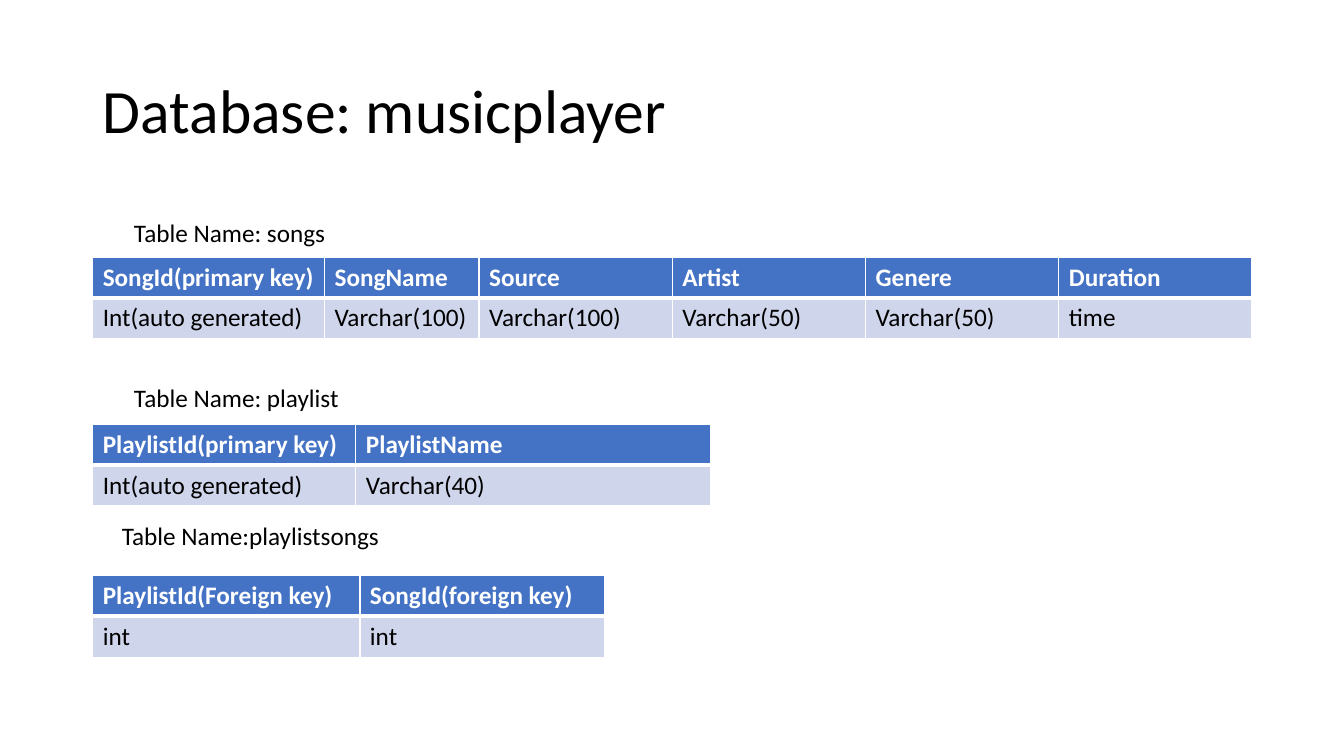
from lxml import etree
from pptx import Presentation
from pptx.dml.color import RGBColor
from pptx.enum.text import MSO_ANCHOR, MSO_AUTO_SIZE, PP_ALIGN
from pptx.oxml.ns import qn
from pptx.util import Inches, Pt

LEFT, MIDDLE = PP_ALIGN.LEFT, MSO_ANCHOR.MIDDLE
GROW = MSO_AUTO_SIZE.SHAPE_TO_FIT_TEXT
WIDE, HIGH = Inches(13.33), Inches(7.5)

# Lengths are percentages of the slide's width or height
EDGE, SPAN, ROW = 6.9, 86.25, 5.4
WHITE, BLACK, BLUE, PALE = "FFFFFF", "000000", "4472C4", "CFD5EA"

HEAD = {"size": Pt(18), "bold": True}
BODY = {"size": Pt(18), "bold": False}
TITLE = {"size": Pt(44), "bold": False}

# Label, label left and top, table top, columns of (width, field, type)
TABLES = [
    ("Table Name: songs", 9.23, 28.13, 34, [
        (17.25, "SongId(primary key)", "Int(auto generated)"),
        (11.5, "SongName", "Varchar(100)"),
        (14.38, "Source", "Varchar(100)"),
        (14.38, "Artist", "Varchar(50)"),
        (14.38, "Genere", "Varchar(50)"),
        (14.38, "Duration", "time"),
    ]),
    ("Table Name: playlist", 9.23, 49.87, 56.13, [
        (19.58, "PlaylistId(primary key)", "Int(auto generated)"),
        (26.4, "PlaylistName", "Varchar(40)"),
    ]),
    ("Table Name:playlistsongs", 8.33, 68.13, 76.13, [
        (19.88, "PlaylistId(Foreign key)", "int"),
        (18.23, "SongId(foreign key)", "int"),
    ]),
]


def across(share):
    return round(WIDE * share / 100)


def down(share):
    return round(HIGH * share / 100)


def color(target, code):
    target.rgb = RGBColor.from_string(code)


def write(frame, text, style, ink):
    line = frame.paragraphs[0]
    line.alignment = LEFT
    run = line.add_run()
    run.text = text
    for key, value in {"name": "Calibri", **style}.items():
        setattr(run.font, key, value)
    color(run.font.color, ink)
    return line


def border(cell, widths):
    props = cell._tc.get_or_add_tcPr()
    for side, width in widths.items():
        line = etree.SubElement(props, qn(f"a:ln{side}"), w=str(Pt(width)))
        fill = etree.SubElement(line, qn("a:solidFill"))
        etree.SubElement(fill, qn("a:srgbClr"), val=WHITE)


def add_title(slide, text):
    title = slide.shapes.title
    place = {"left": across(EDGE), "top": down(5.33),
             "width": across(SPAN), "height": down(19.33)}
    for key, value in place.items():
        setattr(title, key, value)
    title.text_frame.vertical_anchor = MIDDLE
    write(title.text_frame, text, TITLE, BLACK).line_spacing = 0.9


def add_label(slide, text, left, top):
    box = slide.shapes.add_textbox(
        across(left), down(top), across(39.68), down(ROW))
    box.text_frame.word_wrap = True
    box.text_frame.auto_size = GROW
    write(box.text_frame, text, BODY, BLACK)


def add_grid(slide, top, fields):
    widths, names, types = zip(*fields)
    table = slide.shapes.add_table(
        2, len(fields), across(EDGE), down(top),
        across(sum(widths)), down(2 * ROW)).table
    for column, width in zip(table.columns, widths):
        column.width = across(width)

    # A thick rule parts the header from the types
    rows = [(names, HEAD, WHITE, BLUE, {"L": 1, "R": 1, "T": 1, "B": 3}),
            (types, BODY, BLACK, PALE, {"L": 1, "R": 1, "T": 3, "B": 1})]
    for row, (texts, style, ink, fill, lines) in zip(table.rows, rows):
        row.height = down(ROW)
        for cell, text in zip(row.cells, texts):
            write(cell.text_frame, text, style, ink)
            border(cell, lines)
            cell.fill.solid()
            color(cell.fill.fore_color, fill)


def main():
    deck = Presentation()
    deck.slide_width, deck.slide_height = WIDE, HIGH
    slide = deck.slides.add_slide(deck.slide_layouts.get_by_name("Title Only"))
    add_title(slide, "Database: musicplayer")
    for label, left, high, top, fields in TABLES:
        add_grid(slide, top, fields)
        add_label(slide, label, left, high)
    deck.save("out.pptx")


if __name__ == "__main__":
    main()
